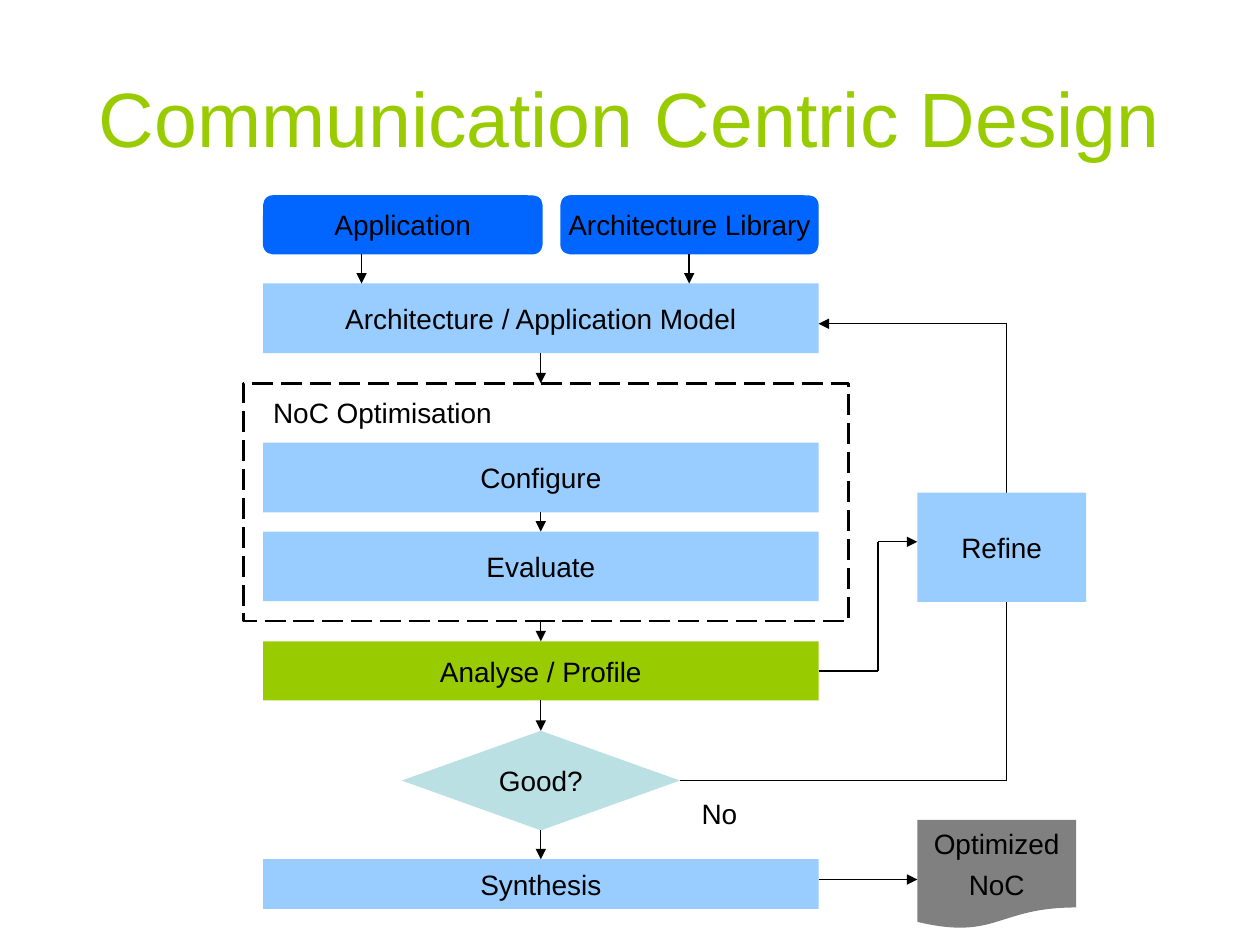
from dataclasses import dataclass

from lxml.etree import SubElement
from pptx import Presentation
from pptx.dml.color import RGBColor
from pptx.enum.dml import MSO_LINE
from pptx.enum.shapes import MSO_CONNECTOR, MSO_SHAPE as Preset
from pptx.enum.text import MSO_ANCHOR as Anchor, PP_ALIGN as Align
from pptx.oxml.ns import qn
from pptx.util import Pt


@dataclass(frozen=True)
class Theme:
    font: str = "Arial"
    title_size: int = 44
    body_size: int = 16
    ink: RGBColor = RGBColor.from_string("000000")
    green: RGBColor = RGBColor.from_string("99CC00")
    blue: RGBColor = RGBColor.from_string("0066FF")
    light_blue: RGBColor = RGBColor.from_string("99CCFF")
    teal: RGBColor = RGBColor.from_string("BBE0E3")
    grey: RGBColor = RGBColor.from_string("808080")


theme = Theme()
TOP, LEFT, BOTTOM, RIGHT = range(4)

presentation = Presentation()
presentation.slide_width, presentation.slide_height = Pt(720), Pt(540)
slide = presentation.slides.add_slide(presentation.slide_layouts[6])


def write(shape, text, size=theme.body_size, color=theme.ink, align=Align.CENTER,
          space_before=4, **frame_format):
    frame = shape.text_frame
    settings = {"word_wrap": False, "vertical_anchor": Anchor.MIDDLE} | frame_format
    for name, value in settings.items():
        setattr(frame, name, value)
    frame.text = text
    for paragraph in frame.paragraphs:
        paragraph.alignment = align
        paragraph.space_before = Pt(space_before)
        font_format = {"name": theme.font, "size": Pt(size)}
        for name, value in font_format.items():
            setattr(paragraph.runs[0].font, name, value)
        paragraph.runs[0].font.color.rgb = color


def connect(begin, end, arrow=True):
    """Draw a line; each end is an (x, y) point or a (shape, side) pair."""
    points = [p if isinstance(p[0], (int, float)) else (0, 0) for p in (begin, end)]
    line = slide.shapes.add_connector(
        MSO_CONNECTOR.STRAIGHT, *(Pt(value) for point in points for value in point))
    for target, join in ((begin, line.begin_connect), (end, line.end_connect)):
        if not isinstance(target[0], (int, float)):
            join(*target)
    line.line.width = Pt(0.75)
    line.line.color.rgb = theme.ink
    if arrow:
        SubElement(line.line._get_or_add_ln(), qn("a:tailEnd"), type="triangle")
    SubElement(line._element.spPr, qn("a:effectLst"))


# Title
title = slide.shapes.add_textbox(Pt(36), Pt(21.6), Pt(648), Pt(90))
write(title, "Communication Centric Design", theme.title_size, theme.green,
      space_before=0, word_wrap=True)

# Feedback corner points, and the main column
column_left, column_width = 150.3, 317.5
column_right = column_left + column_width
center = column_left + column_width / 2
side_left = 524.2
loop_x, loop_top, loop_bottom = 575.3, 185, 446.05
elbow_x, elbow_y = 501.8, 309.6

# Flow steps: text, preset, fill, left, top, width, height
steps = [
    ("Application", Preset.ROUNDED_RECTANGLE, theme.blue, column_left, 111.6, 159.8, 33.8),
    ("Architecture Library", Preset.ROUNDED_RECTANGLE, theme.blue, 320.2, 111.6, 147.6, 33.8),
    ("Architecture / Application Model", Preset.RECTANGLE, theme.light_blue,
     column_left, 162, column_width, 39.8),
    ("Configure", Preset.RECTANGLE, theme.light_blue, column_left, 253, column_width, 39.8),
    ("Evaluate", Preset.RECTANGLE, theme.light_blue, column_left, 303.8, column_width, 39.8),
    ("Analyse / Profile", Preset.RECTANGLE, theme.green, column_left, 366.5, column_width, 33.8),
    ("Good?", Preset.FLOWCHART_DECISION, theme.teal, center - 79.5, 417.6, 159, 56.9),
    ("Synthesis", Preset.RECTANGLE, theme.light_blue, column_left, 491, column_width, 28.4),
    ("Refine", Preset.RECTANGLE, theme.light_blue, side_left, 281.5, 96.5, 62.4),
    ("Optimized\nNoC", Preset.FLOWCHART_DOCUMENT, theme.grey, side_left, 468.5, 90.7, 62.4),
]
boxes = {}
for text, preset, fill, left, top, width, height in steps:
    # The feedback loop runs behind Refine
    if text == "Refine":
        connect((loop_x, loop_top), (column_right, loop_top))
        connect((loop_x, loop_top), (loop_x, loop_bottom), arrow=False)
        connect((boxes["Good?"], RIGHT), (loop_x, loop_bottom), arrow=False)
    box = slide.shapes.add_shape(preset, Pt(left), Pt(top), Pt(width), Pt(height))
    box.shadow.inherit = False
    box.fill.solid()
    box.fill.fore_color.rgb = fill
    box.line.fill.background()
    write(box, text)
    boxes[text] = box

# Dashed optimisation frame
frame_top, frame_bottom = 219, 355
frame_box = slide.shapes.add_shape(
    Preset.RECTANGLE, Pt(139), Pt(frame_top), Pt(345.8), Pt(frame_bottom - frame_top))
frame_box.shadow.inherit = False
frame_box.fill.background()
frame_box.line.color.rgb = theme.ink
for name, value in {"width": Pt(1.5), "dash_style": MSO_LINE.LONG_DASH}.items():
    setattr(frame_box.line, name, value)

# Labels, with room to stay on one line
for text, left, top, width in (("NoC Optimisation", 149, 222.5, 146), ("No", 393.8, 451.5, 38)):
    label = slide.shapes.add_textbox(Pt(left), Pt(top), Pt(width), Pt(26.6))
    write(label, text, align=Align.LEFT, vertical_anchor=Anchor.TOP, word_wrap=True)

# Downward arrows
for x in (206.6, 393.8):
    connect((x, 145.4), (x, 162))
for begin, end in (
    ((boxes["Architecture / Application Model"], BOTTOM), (center, frame_top)),
    ((boxes["Configure"], BOTTOM), (boxes["Evaluate"], TOP)),
    ((center, frame_bottom), (boxes["Analyse / Profile"], TOP)),
    ((boxes["Analyse / Profile"], BOTTOM), (boxes["Good?"], TOP)),
    ((boxes["Good?"], BOTTOM), (boxes["Synthesis"], TOP)),
):
    connect(begin, end)

# Arrows to the side boxes
connect((column_right, 502.6), (side_left, 502.6))
connect((boxes["Analyse / Profile"], RIGHT), (elbow_x, 383.4), arrow=False)
connect((elbow_x, 383.4), (elbow_x, elbow_y), arrow=False)
connect((elbow_x, elbow_y), (side_left, elbow_y))

presentation.save("out.pptx")
